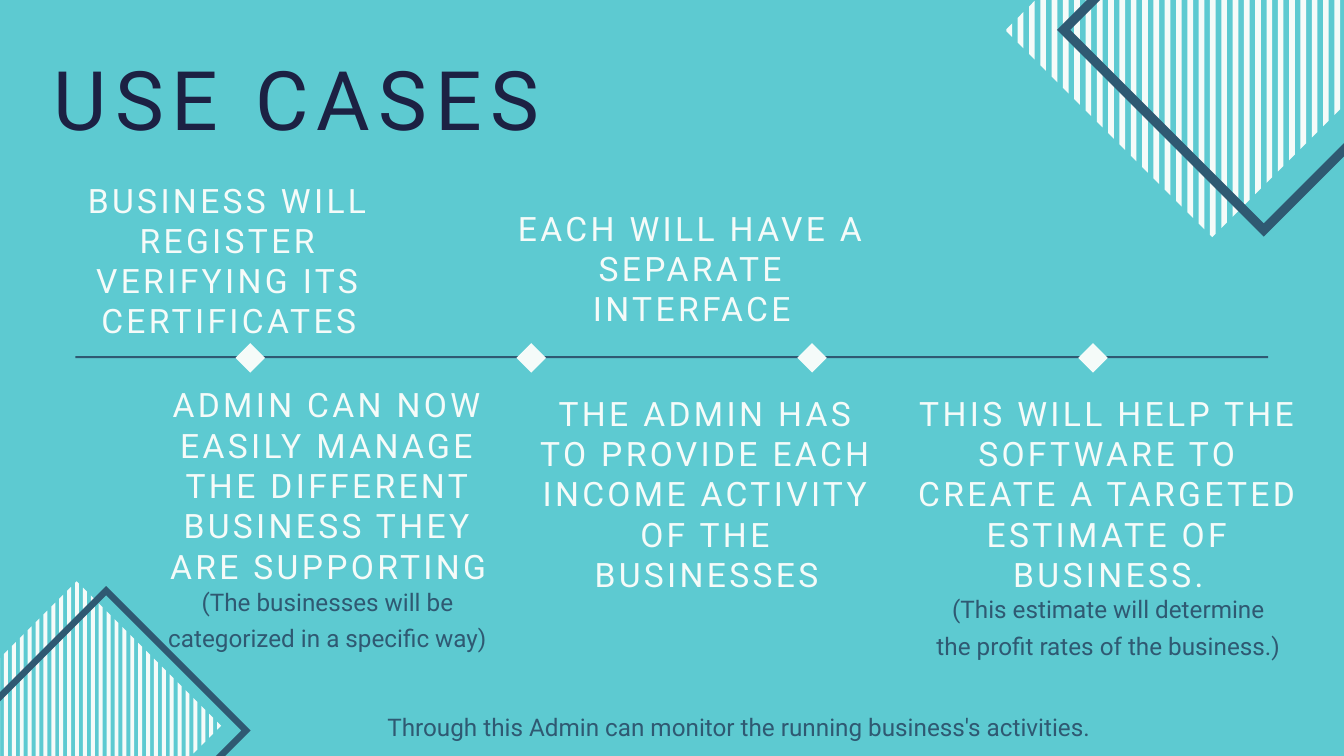
import math

import pptx
import pptx.dml.color
import pptx.enum.shapes
import pptx.enum.text
import pptx.util

RGBColor = pptx.dml.color.RGBColor
Shape = pptx.enum.shapes.MSO_SHAPE
Align = pptx.enum.text.PP_ALIGN

TEAL = RGBColor(0x5D, 0xCA, 0xD1)
WHITE = RGBColor(0xF5, 0xFB, 0xF9)
SLATE = RGBColor(0x2F, 0x59, 0x72)
NAVY = RGBColor(0x1C, 0x21, 0x43)

COLUMNS, ROWS = 20, 11.25
STRIPES = 37
TILT = 315


class SlideBuilder:
    """Holds the style and the current page; lengths are grid columns and rows."""

    font_name = "Roboto"

    def __init__(self, deck):
        self.column = deck.slide_width / COLUMNS
        self.row = deck.slide_height / ROWS
        self.page = deck.slides.add_slide(deck.slide_layouts[5])
        self.page.background.fill.solid()
        self.page.background.fill.fore_color.rgb = TEAL

    def place(self, left, top, width, height):
        return (round(left * self.column), round(top * self.row),
                round(width * self.column), round(height * self.row))

    def paint(self, shape, color, rotation=0):
        shape.shadow.inherit = False
        shape.fill.solid()
        shape.fill.fore_color.rgb = color
        shape.line.fill.background()
        shape.rotation = rotation

    def block(self, left, top, width, height, color, rotation=0, kind=Shape.RECTANGLE):
        box = self.page.shapes.add_shape(kind, *self.place(left, top, width, height))
        self.paint(box, color, rotation)
        return box

    def frame(self, left, top, side):
        box = self.block(left, top, side, side, SLATE, TILT, Shape.FRAME)
        box.adjustments[0] = 0.032

    def striped_diamond(self, center_x, center_y, half):
        """Vertical stripes in a diamond, drawn as a square and tilted upright."""
        pitch = 2 * half / (STRIPES - 0.4)
        turn = math.sqrt(0.5)

        def corner(x, side):
            y = side * max(0, half - abs(x))
            return (round((center_x + (x - y) * turn) * self.column),
                    round((center_y + (x + y) * turn) * self.row))

        builder = None
        for index in range(STRIPES):
            left = pitch * (index + 0.1) - half
            right = left + pitch / 2
            edges = [left, 0, right] if left < 0 < right else [left, right]
            outline = ([corner(x, -1) for x in edges]
                       + [corner(x, 1) for x in reversed(edges)])
            if builder is None:
                builder = self.page.shapes.build_freeform(*outline[0])
            else:
                builder.move_to(*outline[0])
            builder.add_line_segments(outline[1:], close=True)
        self.paint(builder.convert_to_shape(), WHITE, TILT)

    def set_text(self, box, text, size, color, leading, tracking, align):
        frame = box.text_frame
        frame.word_wrap = True
        frame.auto_size = pptx.enum.text.MSO_AUTO_SIZE.SHAPE_TO_FIT_TEXT
        frame.vertical_anchor = pptx.enum.text.MSO_ANCHOR.TOP
        frame.margin_left = frame.margin_right = 0
        frame.margin_top = frame.margin_bottom = 0
        para = frame.paragraphs[0]
        para.text = text
        para.alignment = align
        para.line_spacing = pptx.util.Pt(leading)
        para.font.name = self.font_name
        para.font.size = pptx.util.Pt(size)
        para.font.color.rgb = color
        for span in para.runs:
            span._r.get_or_add_rPr().set("spc", str(round(tracking * 100)))

    def title(self, text, *area):
        box = self.page.shapes.title
        box.left, box.top, box.width, box.height = self.place(*area)
        self.set_text(box, text, 88, NAVY, 88, 8.8, Align.LEFT)

    def caption(self, text, *area):
        box = self.page.shapes.add_textbox(*self.place(*area))
        self.set_text(box, text, 36, WHITE, 43.2, 3.6, Align.CENTER)

    def note(self, text, *area):
        box = self.page.shapes.add_textbox(*self.place(*area))
        self.set_text(box, text, 26, SLATE, 39, 0, Align.CENTER)


def main():
    deck = pptx.Presentation()
    deck.slide_width = pptx.util.Inches(20)
    deck.slide_height = pptx.util.Inches(11.25)
    slide = SlideBuilder(deck)

    # Corner ornaments
    slide.striped_diamond(18.04, 0.45, 3.08)
    slide.frame(16.63, -1.73, 4.35)
    slide.striped_diamond(1.14, 10.8, 2.15)
    slide.frame(0.06, 9.35, 3.04)

    # Timeline with evenly spaced markers
    slide.block(1.12, 5.3, 17.75, 0.03, SLATE)
    for step in range(4):
        slide.block(3.57 + 4.18 * step, 5.17, 0.31, 0.31, WHITE, TILT)

    # Title
    slide.title("USE CASES", 0.8, 0.96, 9.45, 1.29)

    # Captions above and below the timeline
    captions = [
        ("BUSINESS WILL REGISTER VERIFYING ITS CERTIFICATES", 0.8, 2.67, 5.21, 2.41),
        ("ADMIN CAN NOW EASILY MANAGE THE DIFFERENT BUSINESS THEY ARE SUPPORTING",
         2.27, 5.72, 5.23, 3),
        ("EACH WILL HAVE A SEPARATE INTERFACE", 7.69, 3.09, 5.21, 1.79),
        ("THE ADMIN HAS TO PROVIDE EACH INCOME ACTIVITY OF THE BUSINESSES",
         7.91, 5.84, 5.21, 2.99),
        ("THIS WILL HELP THE SOFTWARE TO CREATE A TARGETED ESTIMATE OF BUSINESS.",
         13.65, 5.84, 5.69, 2.99),
    ]
    for caption in captions:
        slide.caption(*caption)

    # Explanatory notes
    notes = [
        ("(The businesses will be categorized in a specific way)", 2.27, 8.63, 5.21, 1.06),
        ("(This estimate will determine the profit rates of the business.)",
         13.89, 8.74, 5.21, 1.06),
        ("Through this Admin can monitor the running business's activities.",
         5.02, 10.49, 11.96, 0.5),
    ]
    for note in notes:
        slide.note(*note)

    deck.save("out.pptx")


if __name__ == "__main__":
    main()
